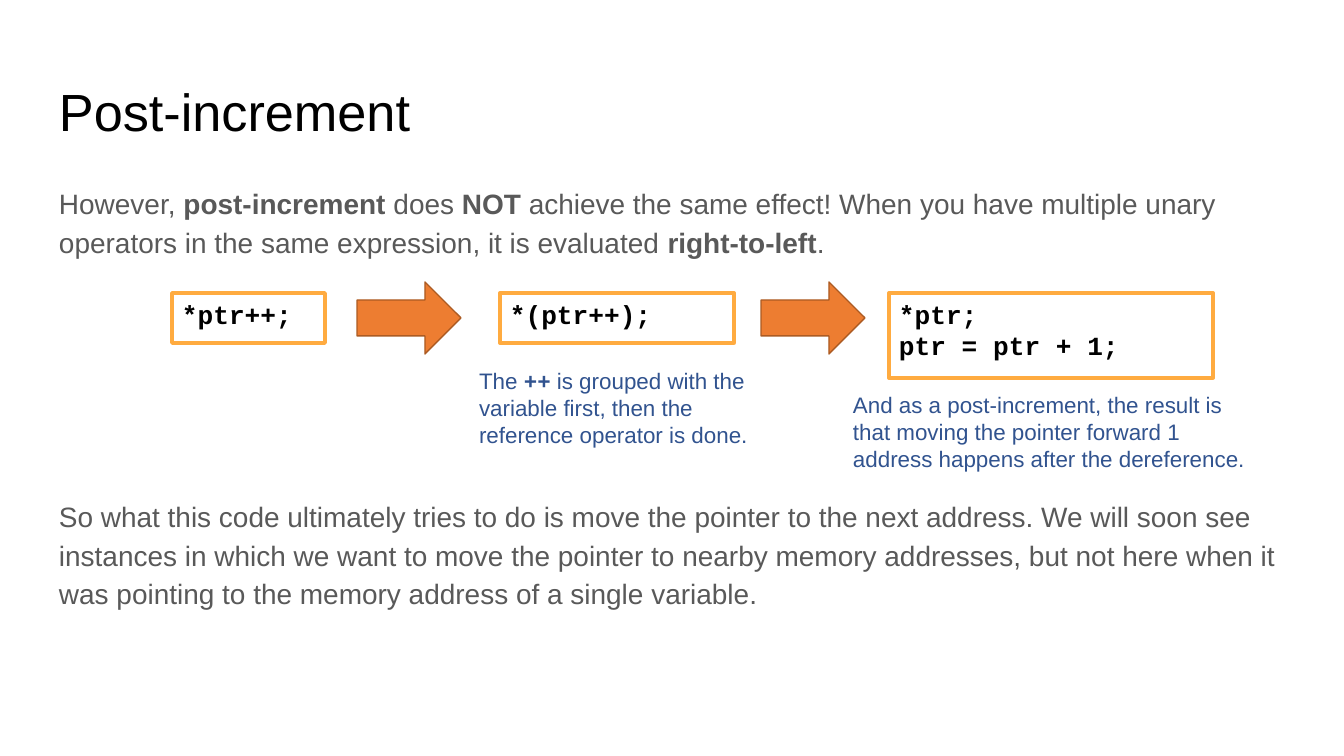
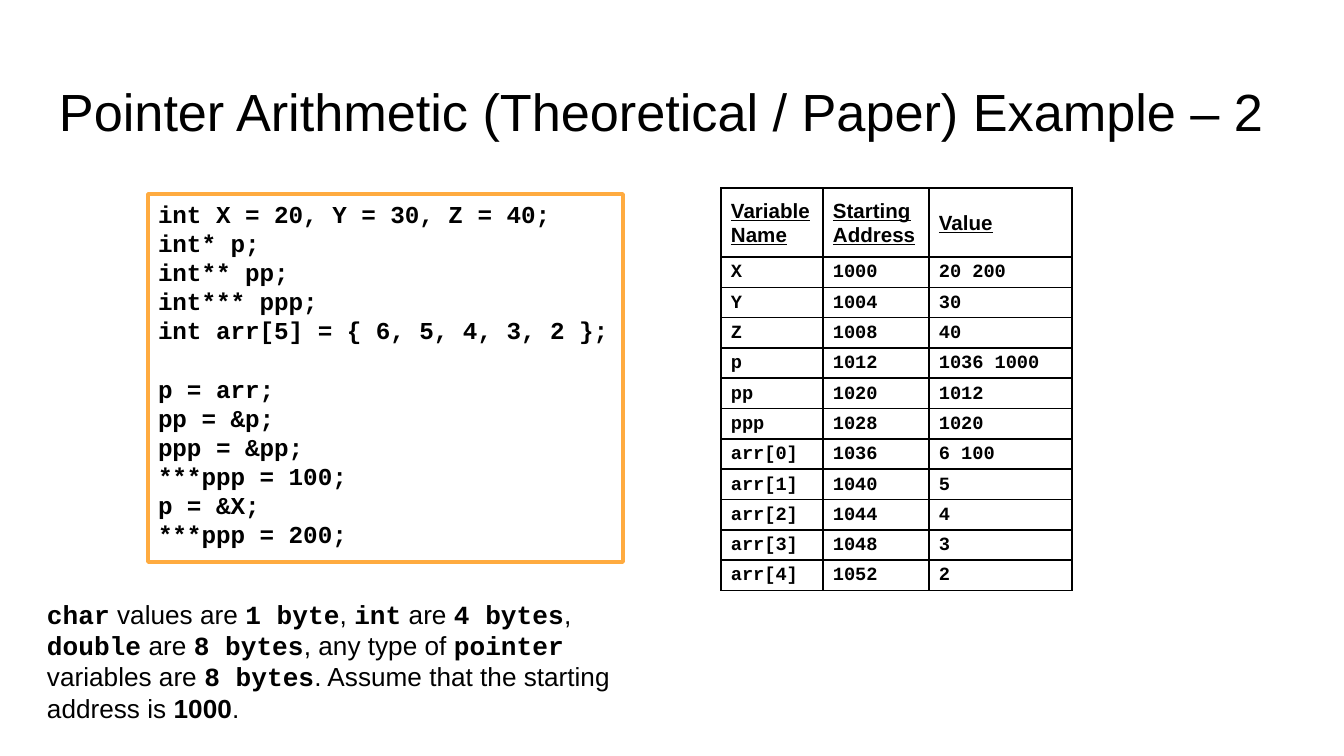
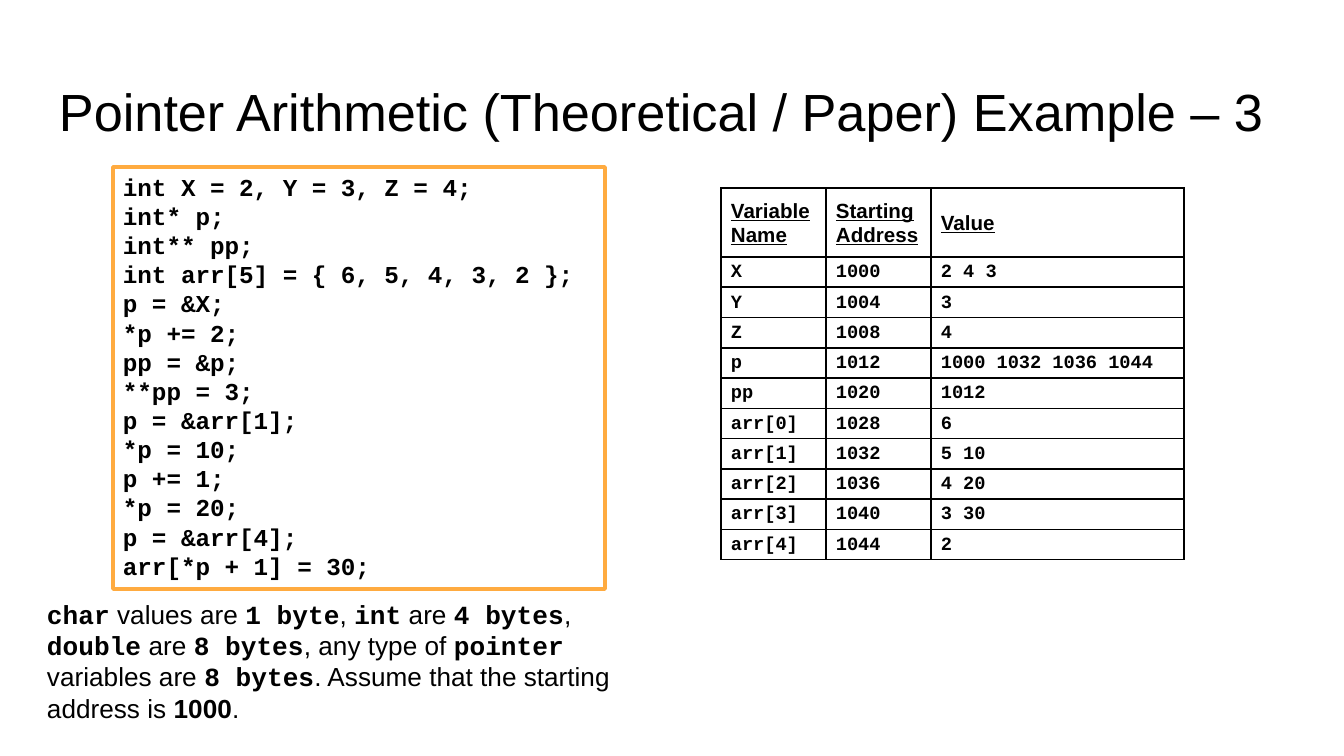
"""Build three slides on pointer increments and pointer arithmetic."""
from lxml.etree import SubElement
from pptx import Presentation
from pptx.dml.color import RGBColor
from pptx.enum.shapes import MSO_SHAPE as Shape
from pptx.enum.text import MSO_ANCHOR as Anchor, MSO_AUTO_SIZE as AutoSize, PP_ALIGN as Align
from pptx.oxml.ns import qn
from pptx.util import Emu, Pt

BLACK = RGBColor(0x00, 0x00, 0x00)
WHITE = RGBColor(0xFF, 0xFF, 0xFF)
GREY = RGBColor(0x59, 0x59, 0x59)
NAVY = RGBColor(0x31, 0x53, 0x8F)
AMBER = RGBColor(0xFF, 0xAB, 0x40)
ORANGE = RGBColor(0xED, 0x7D, 0x31)
RUST = RGBColor(0xAC, 0x5B, 0x23)

PLAIN = {"name": "Arial", "bold": False}
BOLD = {"name": "Arial", "bold": True}
CODE = {"name": "Courier New", "bold": True}
HEADER = {**BOLD, "underline": True}

TITLE_BOX = (46, 66, 1253, 85)
HEADER_HEIGHT = 69
TEXT_INSET = (13, 13)
CODE_INSET = (10, 5)
CELL_INSET = (10, 0)

BODY = [
    [("However, ", PLAIN), ("post-increment ", BOLD), ("does ", PLAIN), ("NOT", BOLD),
     (" achieve the same effect! When you have multiple unary operators in the same "
      "expression, it is evaluated ", PLAIN), ("right-to-left", BOLD), (".", PLAIN)],
    [("So what this code ultimately tries to do is move the pointer to the next address. "
      "We will soon see instances in which we want to move the pointer to nearby memory "
      "addresses, but not here when it was pointing to the memory address of a single "
      "variable.", PLAIN)],
]
GROUPING = [("The ", PLAIN), ("++", CODE),
            (" is grouped with the variable first, then the reference operator is done.", PLAIN)]
RESULT = [("And as a post-increment, the result is that moving the pointer forward 1 "
           "address happens after the dereference.", PLAIN)]
TYPE_SIZES = [
    ("char", CODE), (" values are ", PLAIN), ("1 byte", CODE), (", ", PLAIN),
    ("int", CODE), (" are ", PLAIN), ("4 bytes", CODE), (", ", PLAIN),
    ("double", CODE), (" are ", PLAIN), ("8 bytes", CODE), (", any type of ", PLAIN),
    ("pointer", CODE), (" variables are ", PLAIN), ("8 bytes", CODE),
    (". Assume that the starting address is ", PLAIN), ("1000", BOLD), (".", PLAIN),
]

EXAMPLES = [
    {
        "number": 2,
        "code_box": (148, 194, 475, 368),
        "code": """int X = 20, Y = 30, Z = 40;
int* p;
int** pp;
int*** ppp;
int arr[5] = { 6, 5, 4, 3, 2 };

p = arr;
pp = &p;
ppp = &pp;
***ppp = 100;
p = &X;
***ppp = 200;""",
        "columns": (102, 106, 143),
        "height": 403,
        "memory": [
            ("X", "1000", "20 200"), ("Y", "1004", "30"), ("Z", "1008", "40"),
            ("p", "1012", "1036 1000"), ("pp", "1020", "1012"), ("ppp", "1028", "1020"),
            ("arr[0]", "1036", "6 100"), ("arr[1]", "1040", "5"), ("arr[2]", "1044", "4"),
            ("arr[3]", "1048", "3"), ("arr[4]", "1052", "2"),
        ],
    },
    {
        "number": 3,
        "code_box": (113, 167, 492, 422),
        "code": """int X = 2, Y = 3, Z = 4;
int* p;
int** pp;
int arr[5] = { 6, 5, 4, 3, 2 };
p = &X;
*p += 2;
pp = &p;
**pp = 3;
p = &arr[1];
*p = 10;
p += 1;
*p = 20;
p = &arr[4];
arr[*p + 1] = 30;""",
        "columns": (105, 105, 253),
        "height": 372,
        "memory": [
            ("X", "1000", "2 4 3"), ("Y", "1004", "3"), ("Z", "1008", "4"),
            ("p", "1012", "1000 1032 1036 1044"), ("pp", "1020", "1012"),
            ("arr[0]", "1028", "6"), ("arr[1]", "1032", "5 10"), ("arr[2]", "1036", "4 20"),
            ("arr[3]", "1040", "3 30"), ("arr[4]", "1044", "2"),
        ],
    },
]


def px(length):
    """Turn pixels into EMU."""
    return Emu(round(length * 914400 / 134.4))


def apply(target, values):
    """Set each attribute in a dict of format values."""
    for key, value in values.items():
        setattr(target, key, value)


def margins(inset):
    """Return margin values for a horizontal and a vertical inset."""
    across, down = map(px, inset)
    return {"margin_left": across, "margin_right": across,
            "margin_top": down, "margin_bottom": down}


def write(frame, paragraphs, size, color, **spacing):
    """Fill a text frame with paragraphs of formatted runs."""
    for index, runs in enumerate(paragraphs):
        paragraph = frame.add_paragraph() if index else frame.paragraphs[0]
        apply(paragraph, {"alignment": Align.LEFT, **spacing})
        for text, style in runs:
            run = paragraph.add_run()
            run.text = text
            apply(run.font, {"size": Pt(size), **style})
            run.font.color.rgb = color


def set_frame(frame, inset, auto_size=AutoSize.NONE):
    """Make a text frame wrap from its top with the given inset."""
    apply(frame, {"word_wrap": True, "auto_size": auto_size,
                  "vertical_anchor": Anchor.TOP, **margins(inset)})


def add_titled_slide(deck, title):
    """Add a slide with a formatted title."""
    slide = deck.slides.add_slide(deck.slide_layouts[5])
    heading = slide.shapes.title
    apply(heading, dict(zip(("left", "top", "width", "height"), map(px, TITLE_BOX))))
    set_frame(heading.text_frame, TEXT_INSET)
    write(heading.text_frame, [[(title, PLAIN)]], 28, BLACK)
    return slide


def add_prose(slide, box, paragraphs, size, color, inset=TEXT_INSET,
              auto_size=AutoSize.NONE, **spacing):
    """Add a text box of prose and return its frame."""
    frame = slide.shapes.add_textbox(*map(px, box)).text_frame
    set_frame(frame, inset, auto_size)
    write(frame, paragraphs, size, color, **spacing)
    return frame


def add_figure(slide, kind, box, fill, outline, weight):
    """Add a filled and outlined preset shape."""
    figure = slide.shapes.add_shape(kind, *map(px, box))
    figure.shadow.inherit = False
    figure.fill.solid()
    figure.fill.fore_color.rgb = fill
    figure.line.color.rgb = outline
    figure.line.width = Pt(weight)
    return figure


def add_code(slide, box, code, size):
    """Add a framed code listing, with a gap between its blocks."""
    frame = add_figure(slide, Shape.RECTANGLE, box, WHITE, AMBER, 2).text_frame
    set_frame(frame, CODE_INSET)
    blocks = [block.split("\n") for block in code.split("\n\n")]
    write(frame, [[(line, CODE)] for block in blocks for line in block], size, BLACK)
    start = 0
    for block in blocks[:-1]:
        start += len(block)
        frame.paragraphs[start].space_before = Pt(size * 1.2)


def add_borders(cell):
    """Draw a thin black line on each side of a cell."""
    properties = cell._tc.get_or_add_tcPr()
    for position, side in enumerate(("lnL", "lnR", "lnT", "lnB")):
        border = SubElement(properties, qn(f"a:{side}"), w=str(Pt(1)))
        fill = SubElement(border, qn("a:solidFill"))
        SubElement(fill, qn("a:srgbClr"), val=str(BLACK))
        properties.insert(position, border)


def add_memory_table(slide, columns, height, memory):
    """Add the table of variables, addresses and values."""
    rows = [("Variable Name", "Starting Address", "Value"), *memory]
    box = (721, 188, sum(columns), height)
    table = slide.shapes.add_table(len(rows), len(columns), *map(px, box)).table
    apply(table, {"first_row": False, "horz_banding": False})
    for column, width in zip(table.columns, columns):
        column.width = px(width)
    row_height = (height - HEADER_HEIGHT) / len(memory)
    for index, texts in enumerate(rows):
        table.rows[index].height = px(row_height if index else HEADER_HEIGHT)
        size, style = (10, CODE) if index else (11, HEADER)
        for cell, text in zip(table.rows[index].cells, texts):
            apply(cell, {"vertical_anchor": Anchor.MIDDLE, **margins(CELL_INSET)})
            cell.fill.background()
            add_borders(cell)
            write(cell.text_frame, [[(text, style)]], size, BLACK, line_spacing=1.07)


def add_post_increment(deck):
    """Add the slide that unfolds a post-increment in three steps."""
    slide = add_titled_slide(deck, "Post-increment")
    body = add_prose(slide, (46, 169, 1253, 507), BODY, 15, GREY, line_spacing=1.15)
    body.paragraphs[1].space_before = Pt(126)
    steps = [((172, 293, 153, 50), "*ptr++;"),
             ((500, 293, 234, 50), "*(ptr++);"),
             ((889, 293, 324, 85), "*ptr;\nptr = ptr + 1;")]
    for box, code in steps:
        add_code(slide, box, code, 14)
    for left in (357, 761):
        add_figure(slide, Shape.RIGHT_ARROW, (left, 282, 104, 72), ORANGE, RUST, 0.75)
    add_prose(slide, (466, 354, 302, 95), [GROUPING], 12, NAVY)
    add_prose(slide, (840, 378, 423, 95), [RESULT], 12, NAVY)


def add_example(deck, number, code_box, code, columns, height, memory):
    """Add a worked example with its code, memory table and type sizes."""
    slide = add_titled_slide(deck, f"Pointer Arithmetic (Theoretical / Paper) Example – {number}")
    add_code(slide, code_box, code, 13)
    add_memory_table(slide, columns, height, memory)
    add_prose(slide, (34, 591, 650, 109), [TYPE_SIZES], 14, BLACK,
              inset=(13, 7), auto_size=AutoSize.SHAPE_TO_FIT_TEXT)


def main():
    """Build and save the deck."""
    deck = Presentation()
    apply(deck, {"slide_width": px(1344), "slide_height": px(756)})
    add_post_increment(deck)
    for example in EXAMPLES:
        add_example(deck, **example)
    deck.save("out.pptx")


if __name__ == "__main__":
    main()
